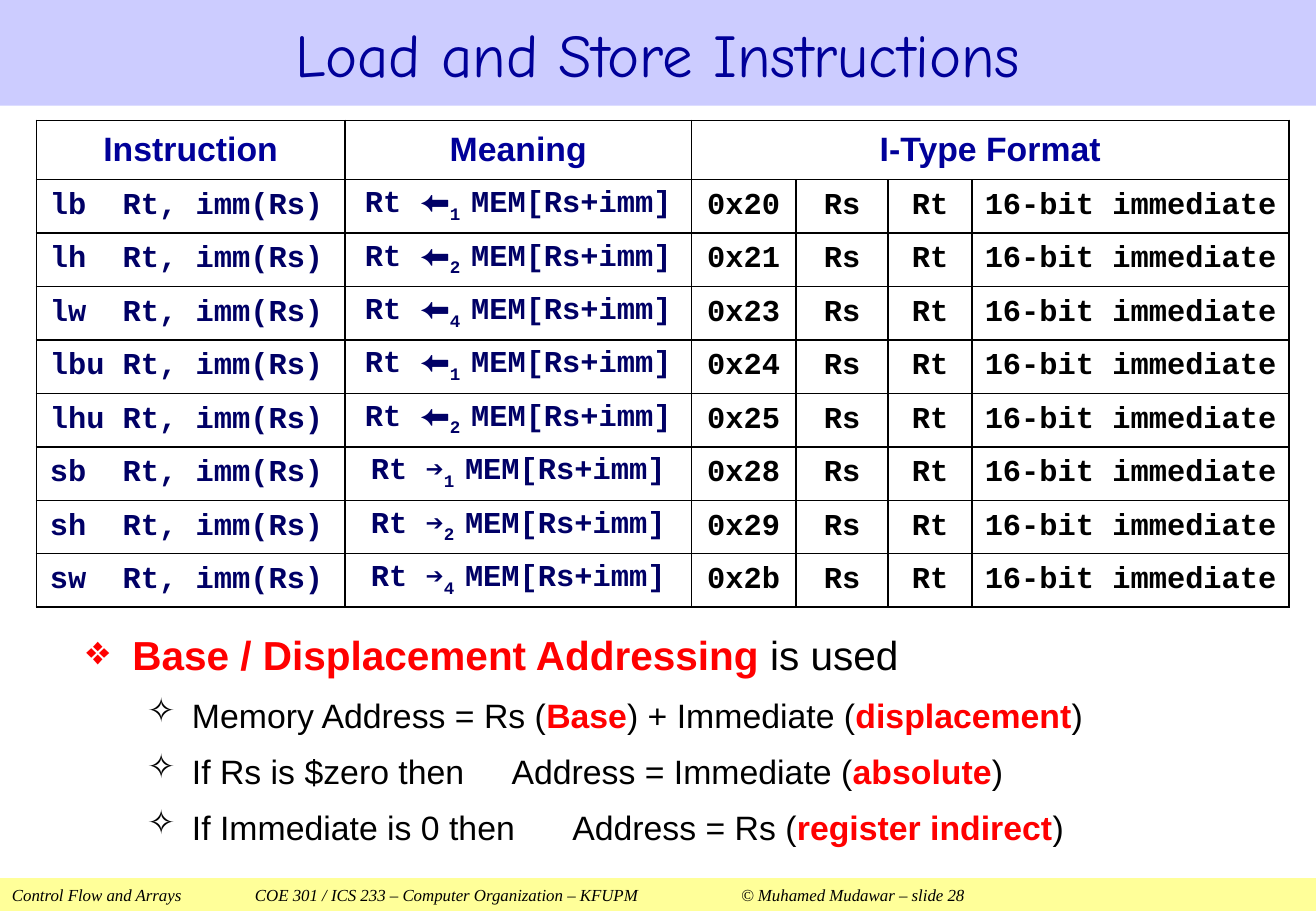
from lxml.etree import SubElement
from pptx import Presentation
from pptx.dml.color import RGBColor
from pptx.enum.shapes import MSO_SHAPE
from pptx.enum.text import MSO_ANCHOR, PP_ALIGN
from pptx.oxml.ns import qn
from pptx.util import Inches, Pt

NAVY, DARK, BLACK, RED = "000099", "000066", "000000", "FF0000"
INSTRUCTIONS = [
    ("lb", "⬅", 1, "0x20"), ("lh", "⬅", 2, "0x21"), ("lw", "⬅", 4, "0x23"),
    ("lbu", "⬅", 1, "0x24"), ("lhu", "⬅", 2, "0x25"),
    ("sb", "➔", 1, "0x28"), ("sh", "➔", 2, "0x29"), ("sw", "➔", 4, "0x2b"),
]
COL_WIDTHS = [2.54, 2.85, 0.86, 0.76, 0.69, 2.61]
HEADER_HEIGHT, ROW_HEIGHT = 0.49, 0.44
ADDRESSING = [
    [("Memory Address = Rs (", False), ("Base", True), (") + Immediate (", False),
     ("displacement", True), (")", False)],
    [("If Rs is $zero then\tAddress = Immediate (", False), ("absolute", True), (")", False)],
    [("If Immediate is 0 then\tAddress = Rs (", False), ("register indirect", True),
     (")", False)],
]


def rgb(color):
    """Turn a hex string into a colour."""
    return RGBColor.from_string(color)


def add_run(p, text, font, size, color, bold=False, italic=False, baseline=None):
    """Append one formatted run to a paragraph."""
    r = p.add_run()
    r.text = text
    r.font.name, r.font.size = font, Pt(size)
    r.font.bold, r.font.italic = bold, italic
    r.font.color.rgb = rgb(color)
    if baseline:
        r.font._element.set("baseline", str(baseline * 1000))


def add_bar(s, top, height, color):
    """Draw a full-width band and return its first paragraph."""
    sp = s.shapes.add_shape(MSO_SHAPE.RECTANGLE, 0, Inches(top), Inches(10.83), Inches(height))
    sp.shadow.inherit = False
    sp.fill.solid()
    sp.fill.fore_color.rgb = rgb(color)
    sp.line.fill.background()
    tf = sp.text_frame
    tf.vertical_anchor = MSO_ANCHOR.MIDDLE
    return tf.paragraphs[0]


def add_tabs(p, positions):
    """Set left tab stops, in inches."""
    tabs = SubElement(p._p.get_or_add_pPr(), qn("a:tabLst"))
    for pos in positions:
        SubElement(tabs, qn("a:tab"), pos=str(Inches(pos)), algn="l")


def style_cell(cell, side=0.02, align=PP_ALIGN.CENTER):
    """Give a cell borders, margins and no fill, and return its paragraph."""
    cell.margin_left = cell.margin_right = Inches(side)
    cell.margin_top = cell.margin_bottom = Inches(0.01)
    cell.vertical_anchor = MSO_ANCHOR.MIDDLE
    tc_pr = cell._tc.get_or_add_tcPr()
    for edge in ("lnL", "lnR", "lnT", "lnB"):
        ln = SubElement(tc_pr, qn(f"a:{edge}"), w=str(Pt(1)))
        fill = SubElement(ln, qn("a:solidFill"))
        SubElement(fill, qn("a:srgbClr"), val=BLACK)
    cell.fill.background()
    p = cell.text_frame.paragraphs[0]
    p.alignment = align
    return p


def add_instruction_table(s):
    """Build the load and store instruction table."""
    rows = len(INSTRUCTIONS) + 1
    height = HEADER_HEIGHT + ROW_HEIGHT * len(INSTRUCTIONS)
    table = s.shapes.add_table(rows, len(COL_WIDTHS), Inches(0.3), Inches(0.99),
                               Inches(sum(COL_WIDTHS)), Inches(height)).table
    table.first_row = table.horz_banding = False
    for col, width in zip(table.columns, COL_WIDTHS):
        col.width = Inches(width)
    for i, row in enumerate(table.rows):
        row.height = Inches(ROW_HEIGHT if i else HEADER_HEIGHT)

    table.cell(0, 2).merge(table.cell(0, 5))
    headers = ["Instruction", "Meaning", "I-Type Format", "", "", ""]
    for col, header in enumerate(headers):
        p = style_cell(table.cell(0, col))
        if header:
            add_run(p, header, "Arial", 20, NAVY, bold=True)

    for i, (name, arrow, size, opcode) in enumerate(INSTRUCTIONS, 1):
        p = style_cell(table.cell(i, 0), 0.11, PP_ALIGN.LEFT)
        add_run(p, f"{name:<3} Rt, imm(Rs)", "Courier New", 18, DARK, bold=True)
        p = style_cell(table.cell(i, 1), 0.11)
        for text, baseline in ((f"Rt {arrow}", None), (f"{size} ", -25), ("MEM[Rs+imm]", None)):
            add_run(p, text, "Courier New", 18, DARK, bold=True, baseline=baseline)
        for col, text in enumerate((opcode, "Rs", "Rt", "16-bit immediate"), 2):
            p = style_cell(table.cell(i, col), 0.11 if col == 2 else 0.02)
            add_run(p, text, "Courier New", 18, BLACK, bold=True)


def add_bullet(p, char, indent, hanging, size, parts):
    """Fill a bulleted paragraph, with key terms in bold red."""
    p_pr = p._p.get_or_add_pPr()
    p_pr.set("marL", str(Inches(indent)))
    p_pr.set("indent", str(-Inches(hanging)))
    SubElement(p_pr, qn("a:buChar"), char=char)
    for text, key in parts:
        add_run(p, text, "Arial", size, RED if key else BLACK, bold=key)


def add_addressing_list(s):
    """Write the bullets on base addressing."""
    sp = s.shapes.add_textbox(Inches(0.71), Inches(5.14), Inches(9.55), Inches(2.02))
    tf = sp.text_frame
    tf.word_wrap = True
    tf.margin_left = 0
    add_bullet(tf.paragraphs[0], "❖", 0.38, 0.38, 24,
               [("Base / Displacement Addressing", True), (" is used", False)])
    for parts in ADDRESSING:
        p = tf.add_paragraph()
        p.level = 1
        p.space_before = Pt(9.2)
        add_bullet(p, "✧", 0.87, 0.37, 20, parts)


def main():
    """Build and save the slide."""
    prs = Presentation()
    prs.slide_width, prs.slide_height = Inches(10.83), Inches(7.5)
    s = prs.slides.add_slide(prs.slide_layouts[6])
    p = add_bar(s, 7.23, 0.27, "FFFF99")
    p.alignment = PP_ALIGN.LEFT
    add_tabs(p, (2, 6))
    add_run(p, "Control Flow and Arrays\tCOE 301 / ICS 233 – Computer Organization – KFUPM"
            "\t© Muhamed Mudawar – slide 28", "Times New Roman", 10, BLACK, italic=True)
    p = add_bar(s, 0, 0.87, "CCCCFF")
    p.alignment = PP_ALIGN.CENTER
    add_run(p, "Load and Store Instructions", "Comic Neue", 36, NAVY)
    add_instruction_table(s)
    add_addressing_list(s)
    prs.save("out.pptx")


if __name__ == "__main__":
    main()
